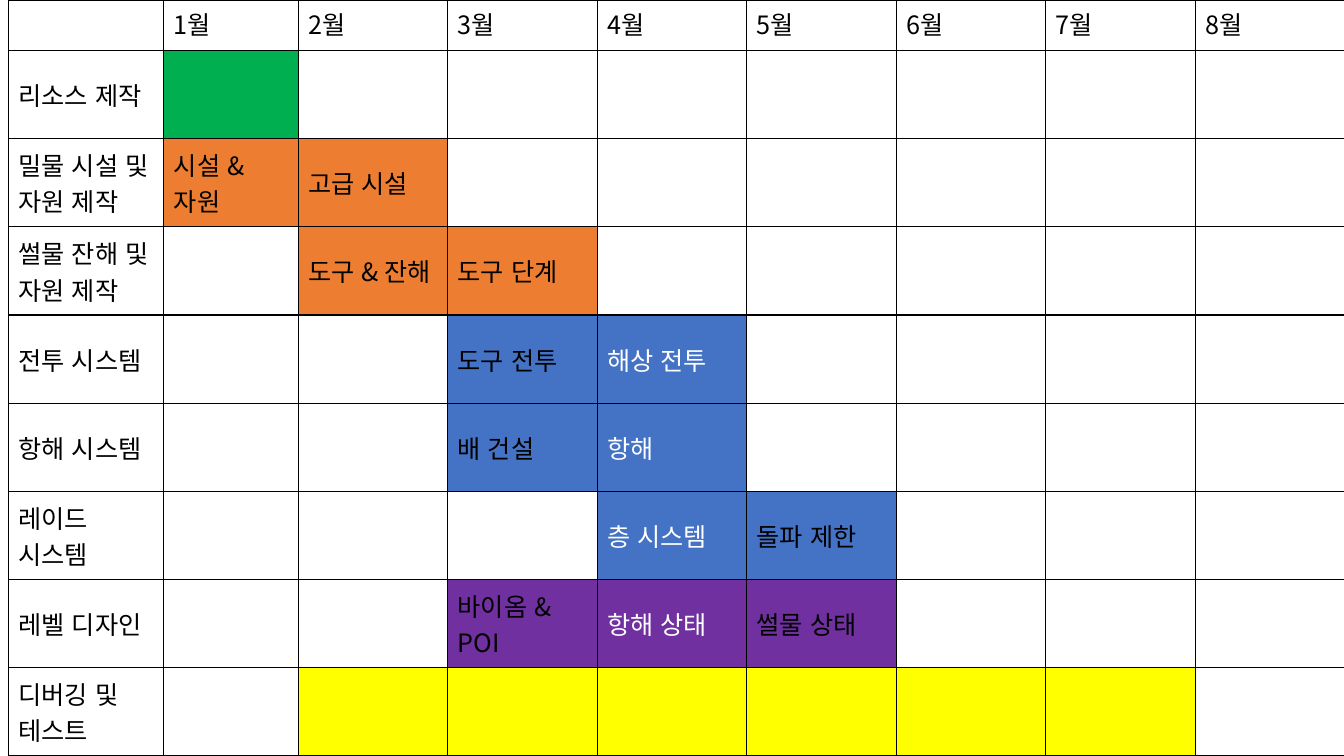
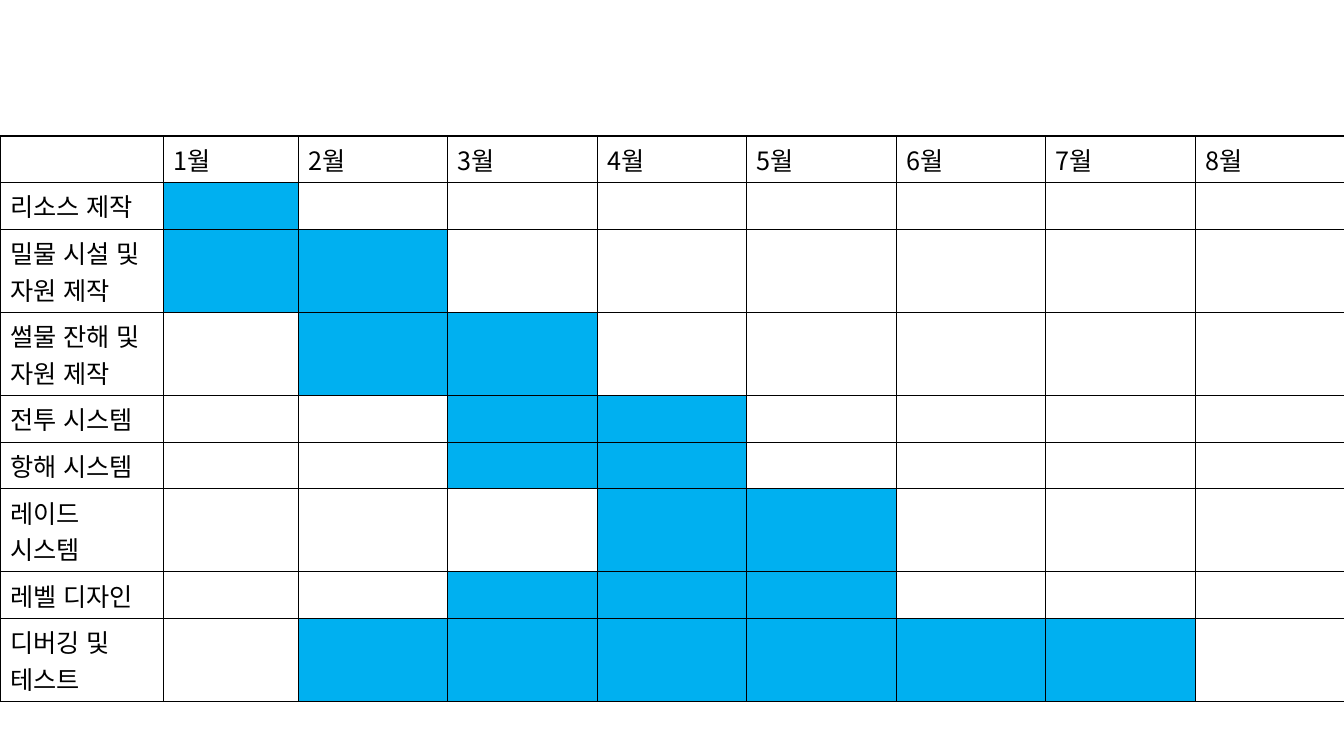
from dataclasses import dataclass

from lxml.etree import SubElement
from pptx import Presentation
from pptx.dml.color import RGBColor
from pptx.enum.lang import MSO_LANGUAGE_ID
from pptx.enum.text import MSO_ANCHOR
from pptx.oxml.ns import qn
from pptx.util import Emu, Pt

PX = 7620  # EMU per px, 120 px to the inch
SLIDE_WIDTH, SLIDE_HEIGHT = 1600, 900

FONT = "Noto Sans CJK KR"
TEXT_SIZE = Pt(18)
BORDER_WIDTH = Pt(1)

BLACK = RGBColor(0x00, 0x00, 0x00)
WHITE = RGBColor(0xFF, 0xFF, 0xFF)
GREEN = RGBColor(0x00, 0xB0, 0x50)
ORANGE = RGBColor(0xED, 0x7D, 0x31)
BLUE = RGBColor(0x44, 0x72, 0xC4)
PURPLE = RGBColor(0x70, 0x30, 0xA0)
YELLOW = RGBColor(0xFF, 0xFF, 0x00)
SKY = RGBColor(0x00, 0xB0, 0xF0)

MONTHS = 8
WHITE_TEXT_MONTH = 4
FIRST_MONTH_WIDTH, MONTH_WIDTH = 160, 178


@dataclass
class Task:
    """A row of the schedule; steps name the months from first_month on."""
    label: str
    first_month: int
    last_month: int
    color: RGBColor
    label_lines: int = 1
    steps: tuple = ()


TASKS = [
    Task("리소스 제작", 1, 1, GREEN),
    Task("밀물 시설 및 자원 제작", 1, 2, ORANGE, 2, ("시설 & 자원", "고급 시설")),
    Task("썰물 잔해 및 자원 제작", 2, 3, ORANGE, 2, ("도구 & 잔해", "도구 단계")),
    Task("전투 시스템", 3, 4, BLUE, 1, ("도구 전투", "해상 전투")),
    Task("항해 시스템", 3, 4, BLUE, 1, ("배 건설", "항해")),
    Task("레이드 시스템", 4, 5, BLUE, 2, ("층 시스템", "돌파 제한")),
    Task("레벨 디자인", 3, 5, PURPLE, 1, ("바이옴 & POI", "항해 상태", "썰물 상태")),
    Task("디버깅 및\n테스트", 2, 7, YELLOW, 2),
]


def px(length):
    return Emu(length * PX)


def add_borders(cell):
    properties = cell._tc.get_or_add_tcPr()
    for side in ("a:lnL", "a:lnR", "a:lnT", "a:lnB"):
        line = SubElement(properties, qn(side), w=str(BORDER_WIDTH))
        fill = SubElement(line, qn("a:solidFill"))
        SubElement(fill, qn("a:srgbClr"), val=str(BLACK))


def write_text(cell, text, color=BLACK):
    cell.text_frame.text = text
    for paragraph in cell.text_frame.paragraphs:
        for run in paragraph.runs:
            run.font.size = TEXT_SIZE
            run.font.name = FONT
            run.font.bold = False
            run.font.color.rgb = color
            run.font.language_id = MSO_LANGUAGE_ID.KOREAN
            SubElement(run.font._element, qn("a:ea"), typeface=FONT)


def add_grid(slide, left, top, column_widths, row_heights):
    """Add an unfilled table with a border round every cell."""
    table = slide.shapes.add_table(
        len(row_heights), len(column_widths), px(left), px(top),
        px(sum(column_widths)), px(sum(row_heights))).table
    table.first_row = False
    table.horz_banding = False
    for column, width in zip(table.columns, column_widths):
        column.width = px(width)
    for row, height in zip(table.rows, row_heights):
        row.height = px(height)
    for cell in table.iter_cells():
        add_borders(cell)
        cell.fill.background()
    return table


def fill_task_row(table, row, task, color, steps):
    label_cell = table.cell(row, 0)
    write_text(label_cell, task.label)
    label_cell.vertical_anchor = MSO_ANCHOR.MIDDLE
    for month in range(task.first_month, task.last_month + 1):
        cell = table.cell(row, month)
        cell.fill.solid()
        cell.fill.fore_color.rgb = color
    for month, step in enumerate(steps, task.first_month):
        cell = table.cell(row, month)
        write_text(cell, step, WHITE if month == WHITE_TEXT_MONTH else BLACK)
        cell.vertical_anchor = MSO_ANCHOR.MIDDLE


def add_schedule(slide, left, top, label_width, row_heights, bar_color=None):
    """Add the schedule; a bar_color gives plain bars without step names."""
    column_widths = [label_width, FIRST_MONTH_WIDTH] + [MONTH_WIDTH] * (MONTHS - 1)
    table = add_grid(slide, left, top, column_widths, row_heights)
    for month in range(1, MONTHS + 1):
        write_text(table.cell(0, month), f"{month}월")
    for row, task in enumerate(TASKS, 1):
        steps = () if bar_color else task.steps
        fill_task_row(table, row, task, bar_color or task.color, steps)


def main():
    presentation = Presentation()
    presentation.slide_width = px(SLIDE_WIDTH)
    presentation.slide_height = px(SLIDE_HEIGHT)
    blank_layout = presentation.slide_layouts[6]

    detailed_slide = presentation.slides.add_slide(blank_layout)
    add_schedule(detailed_slide, 10, 0, 185, [60] + [105] * len(TASKS))

    height_by_lines = {1: 55, 2: 99}
    overview_heights = [height_by_lines[1]]
    overview_heights += [height_by_lines[task.label_lines] for task in TASKS]
    overview_slide = presentation.slides.add_slide(blank_layout)
    add_schedule(overview_slide, 0, 162, 195, overview_heights, SKY)

    presentation.save("out.pptx")


if __name__ == "__main__":
    main()
